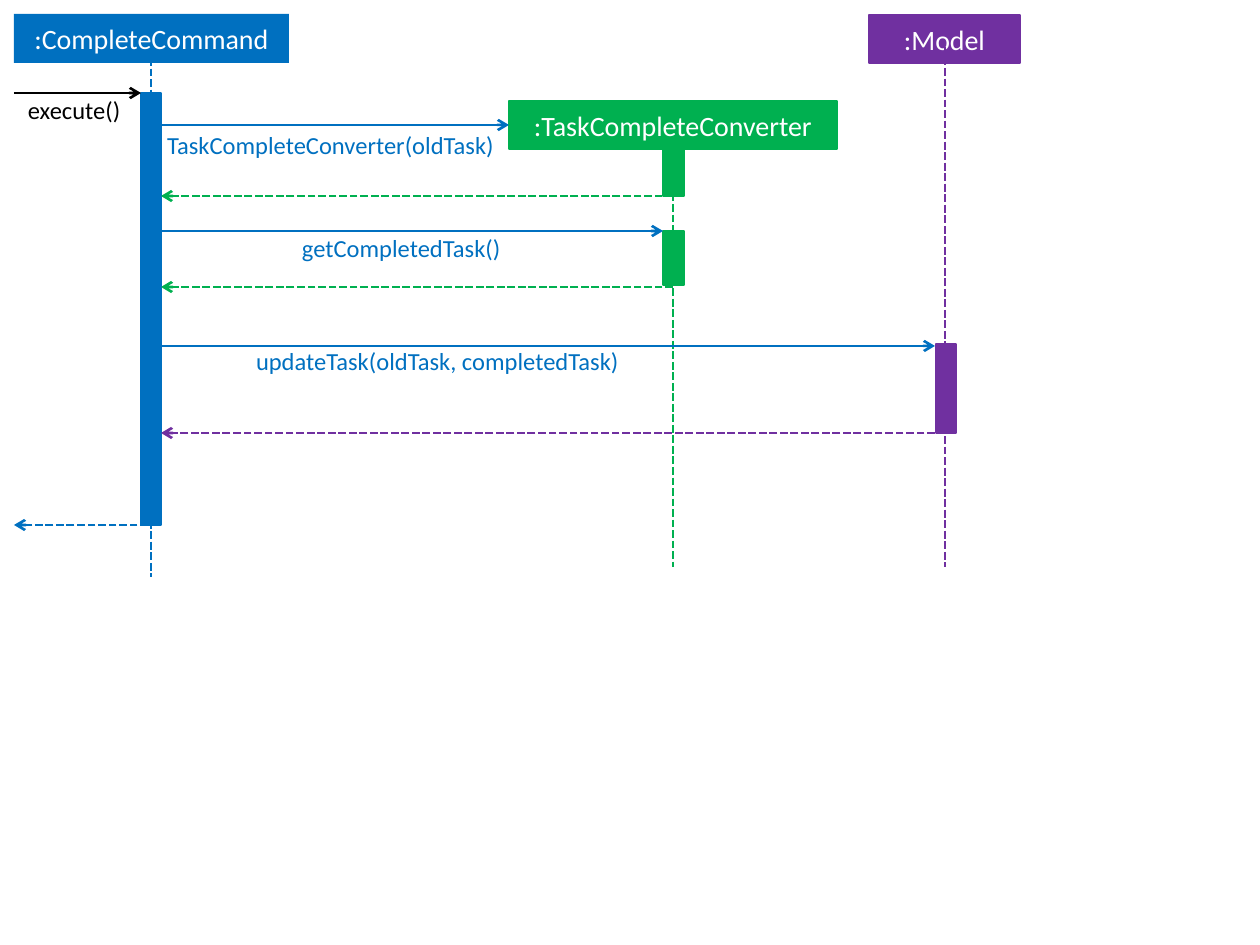
from lxml import etree
from pptx import Presentation
from pptx.dml.color import RGBColor
from pptx.enum.dml import MSO_LINE
from pptx.enum.shapes import MSO_CONNECTOR, MSO_SHAPE
from pptx.enum.text import MSO_ANCHOR, MSO_AUTO_SIZE, PP_ALIGN
from pptx.oxml.ns import qn
from pptx.util import Inches, Pt

SCALE = Inches(1) / 126
COLORS = {"command": "0070C0", "converter": "00B050", "model": "7030A0",
          "caller": "000000", "header": "FFFFFF"}


def px(length):
    """Turn pixels into EMU."""
    return round(length * SCALE)


def rgb(name):
    """Return a named colour."""
    return RGBColor.from_string(COLORS[name])


def write(frame, text, size, color, align):
    """Write one formatted line of text."""
    paragraph = frame.paragraphs[0]
    paragraph.alignment = align
    run = paragraph.add_run()
    run.text = text
    run.font.name = "Calibri"
    run.font.size = Pt(size)
    run.font.color.rgb = rgb(color)


def add_line(slide, start, end, color, dashed=False, arrow=False):
    """Draw a line, with an optional arrowhead at its end."""
    line = slide.shapes.add_connector(MSO_CONNECTOR.STRAIGHT, *map(px, start + end))
    line.line.color.rgb = rgb(color)
    line.line.width = Pt(1.5)
    if dashed:
        line.line.dash_style = MSO_LINE.SQUARE_DOT
    if arrow:
        etree.SubElement(line.line._get_or_add_ln(), qn("a:tailEnd"), type="arrow")
    etree.SubElement(line._element.spPr, qn("a:effectLst"))


def add_block(slide, box, color, border):
    """Draw a filled rectangle whose border has the same colour."""
    block = slide.shapes.add_shape(MSO_SHAPE.RECTANGLE, *map(px, box))
    block.shadow.inherit = False
    block.fill.solid()
    block.fill.fore_color.rgb = rgb(color)
    if border:
        block.line.color.rgb = rgb(color)
        block.line.width = Pt(border)
    else:
        block.line.fill.background()
    return block


def add_header(slide, box, name, color, border):
    """Draw the named head of a participant."""
    frame = add_block(slide, box, color, border).text_frame
    frame.word_wrap = True
    frame.vertical_anchor = MSO_ANCHOR.MIDDLE
    write(frame, name, 16, color="header", align=PP_ALIGN.CENTER)


def add_participant(slide, box, name, color, lifeline, bars, border=1.5, line_on_top=False):
    """Draw a header, its lifeline and its activation bars, relative to the header box."""
    left, top, width, height = box
    offset, start, length = lifeline
    x = left + offset
    if line_on_top:
        add_header(slide, box, name, color, border)
    add_line(slide, (x, top + start), (x, top + start + length), color, dashed=True)
    if not line_on_top:
        add_header(slide, box, name, color, border)
    for bar_offset, bar_top, bar_width, bar_height in bars:
        bar = (left + bar_offset, top + bar_top, bar_width, bar_height)
        add_block(slide, bar, color, 0.75)


def add_message(slide, start, end, y, color, text="", label=None, dashed=False):
    """Draw a message arrow and its label, placed relative to the left end of the arrow."""
    add_line(slide, (start, y), (end, y), color, dashed, arrow=True)
    if label:
        dx, dy, width = label
        box = (min(start, end) + dx, y + dy, width, 30)
        frame = slide.shapes.add_textbox(*map(px, box)).text_frame
        frame.margin_left = frame.margin_right = frame.margin_top = frame.margin_bottom = 0
        frame.word_wrap = True
        frame.auto_size = MSO_AUTO_SIZE.SHAPE_TO_FIT_TEXT
        write(frame, text, 14, color, PP_ALIGN.LEFT)


def build_sequence(slide):
    """Draw the participants and the messages between them."""
    add_participant(slide, (509, 101, 328, 48), ":TaskCompleteConverter", "converter",
                    (164, 40, 426), [(154, 41, 21, 54), (154, 130, 21, 54)])
    add_participant(slide, (869, 15, 151, 48), ":Model", "model",
                    (76, 32, 520), [(67, 329, 20, 89)], line_on_top=True)
    add_participant(slide, (14, 14, 275, 49), ":CompleteCommand", "command",
                    (137, 23, 540), [(127, 79, 20, 432)], border=0)

    edge, command, converter, model = 14, 161, 673, 935
    add_message(slide, edge, 141, 93, "caller", "execute()", (14, 2, 100))
    add_message(slide, command, 509, 125, "command",
                "TaskCompleteConverter(oldTask)", (6, 5, 335))
    add_message(slide, command, 663, 231, "command", "getCompletedTask()", (141, 2, 204))
    add_message(slide, command, model, 346, "command",
                "updateTask(oldTask, completedTask)", (95, 0, 382))
    returns = [(converter, command, 196, "converter"), (converter, command, 287, "converter"),
               (model, command, 433, "model"), (148, edge, 525, "command")]
    for start, end, y, color in returns:
        add_message(slide, start, end, y, color, dashed=True)


def main():
    """Build and save the presentation."""
    presentation = Presentation()
    presentation.slide_width = px(1260)
    presentation.slide_height = px(945)
    slide = presentation.slides.add_slide(presentation.slide_layouts[6])
    build_sequence(slide)
    presentation.save("out.pptx")


main()
